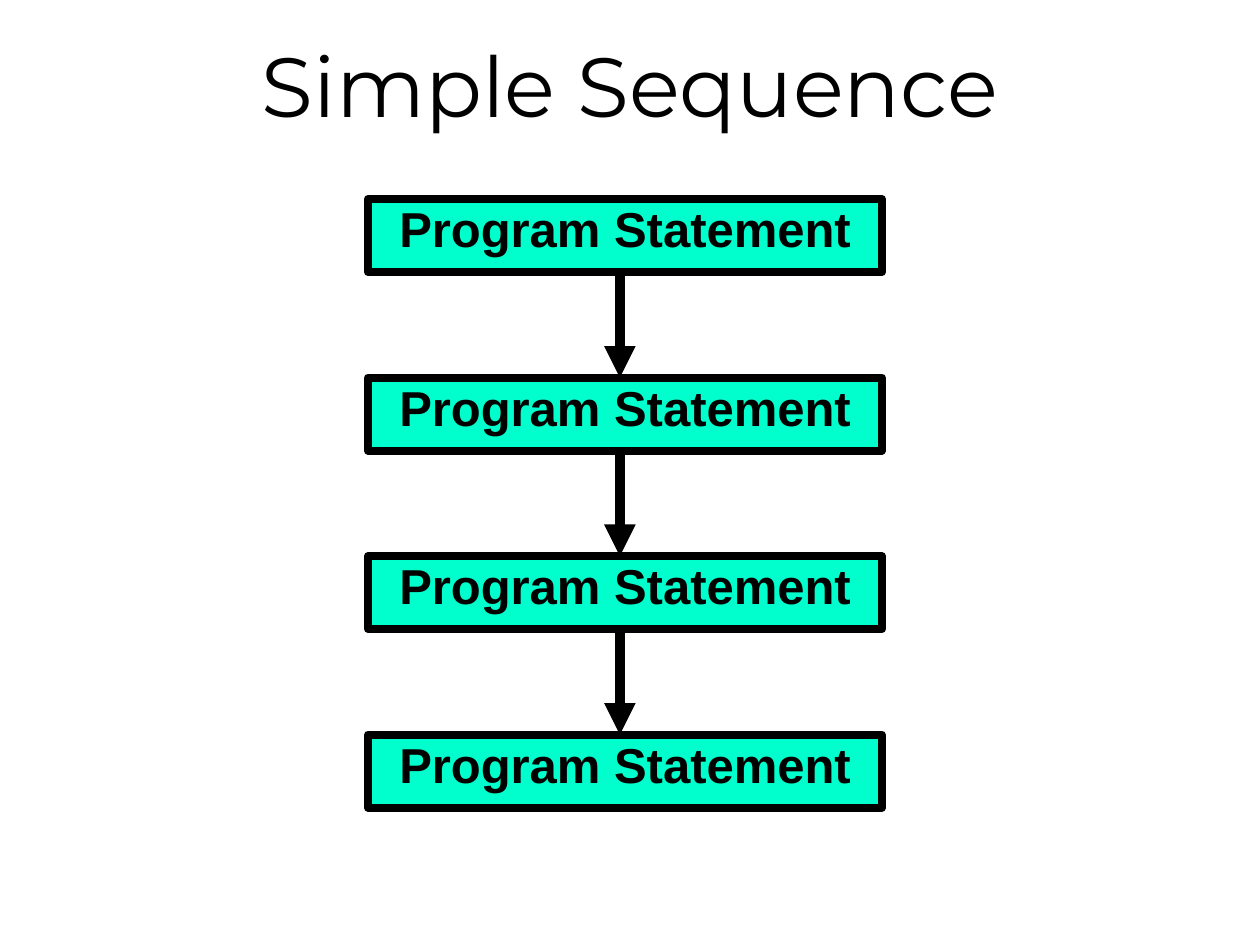
import pptx
import pptx.dml.color
import pptx.enum.shapes
import pptx.enum.text
import pptx.oxml
import pptx.oxml.ns
import pptx.util
from pptx.util import Inches

BLACK = pptx.dml.color.RGBColor(0x00, 0x00, 0x00)
MINT = pptx.dml.color.RGBColor(0x00, 0xFF, 0xCC)

TITLE_FONT = {"name": "Montserrat", "size": pptx.util.Pt(48), "bold": False}
BOX_FONT = {"name": "Arial", "size": pptx.util.Pt(28), "bold": True}

STEPS = 4
BOX_LEFT, BOX_WIDTH, BOX_HEIGHT = 2.92, 4.08, 0.58
FIRST_TOP, LAST_TOP = 1.58, 5.83
PITCH = (LAST_TOP - FIRST_TOP) / (STEPS - 1)
ARROW_X = 4.92


class SequenceSlide:
    """Holds the style and the current slide."""

    def __init__(self, prs):
        self.slide = prs.slides.add_slide(prs.slide_layouts[5])

    def set_text(self, tf, text, font, anchor):
        tf.word_wrap = True
        tf.vertical_anchor = anchor
        p = tf.paragraphs[0]
        p.alignment = pptx.enum.text.PP_ALIGN.CENTER
        r = p.add_run()
        r.text = text
        for name, value in font.items():
            setattr(r.font, name, value)
        r.font.color.rgb = BLACK
        return p

    def title(self, text, left, top, width, height):
        sp = self.slide.shapes.title
        sp.left, sp.top = Inches(left), Inches(top)
        sp.width, sp.height = Inches(width), Inches(height)
        self.set_text(sp.text_frame, text, TITLE_FONT,
                      pptx.enum.text.MSO_ANCHOR.MIDDLE)

    def box(self, text, left, top, width, height):
        sp = self.slide.shapes.add_shape(
            pptx.enum.shapes.MSO_SHAPE.RECTANGLE,
            Inches(left), Inches(top), Inches(width), Inches(height))
        sp.shadow.inherit = False
        sp.fill.solid()
        sp.fill.fore_color.rgb = MINT
        sp.line.color.rgb = BLACK
        sp.line.width = pptx.util.Pt(4.5)
        p = self.set_text(sp.text_frame, text, BOX_FONT,
                          pptx.enum.text.MSO_ANCHOR.TOP)
        p.line_spacing = 0.9
        sp.text_frame.auto_size = pptx.enum.text.MSO_AUTO_SIZE.SHAPE_TO_FIT_TEXT

    def arrow(self, x, top, bottom):
        line = self.slide.shapes.add_connector(
            pptx.enum.shapes.MSO_CONNECTOR.STRAIGHT,
            Inches(x), Inches(top), Inches(x), Inches(bottom))
        line.line.color.rgb = BLACK
        line.line.width = pptx.util.Pt(6)
        # Arrowhead, and no shadow
        ns = pptx.oxml.ns.nsdecls("a")
        ln = line.get_or_add_ln()
        ln.append(pptx.oxml.parse_xml(f'<a:tailEnd {ns} type="triangle"/>'))
        ln.getparent().append(pptx.oxml.parse_xml(f"<a:effectLst {ns}/>"))


def main():
    prs = pptx.Presentation()
    prs.slide_width, prs.slide_height = Inches(10), Inches(7.5)
    s = SequenceSlide(prs)
    s.title("Simple Sequence", 0, 0, 10, 1.33)

    # Statements, top to bottom
    tops = [FIRST_TOP + i * PITCH for i in range(STEPS)]
    for top in tops:
        s.box("Program Statement", BOX_LEFT, top, BOX_WIDTH, BOX_HEIGHT)

    # Arrows run slightly left of the box centres
    for top, next_top in zip(tops, tops[1:]):
        s.arrow(ARROW_X, top + BOX_HEIGHT, next_top)

    prs.save("out.pptx")


if __name__ == "__main__":
    main()
